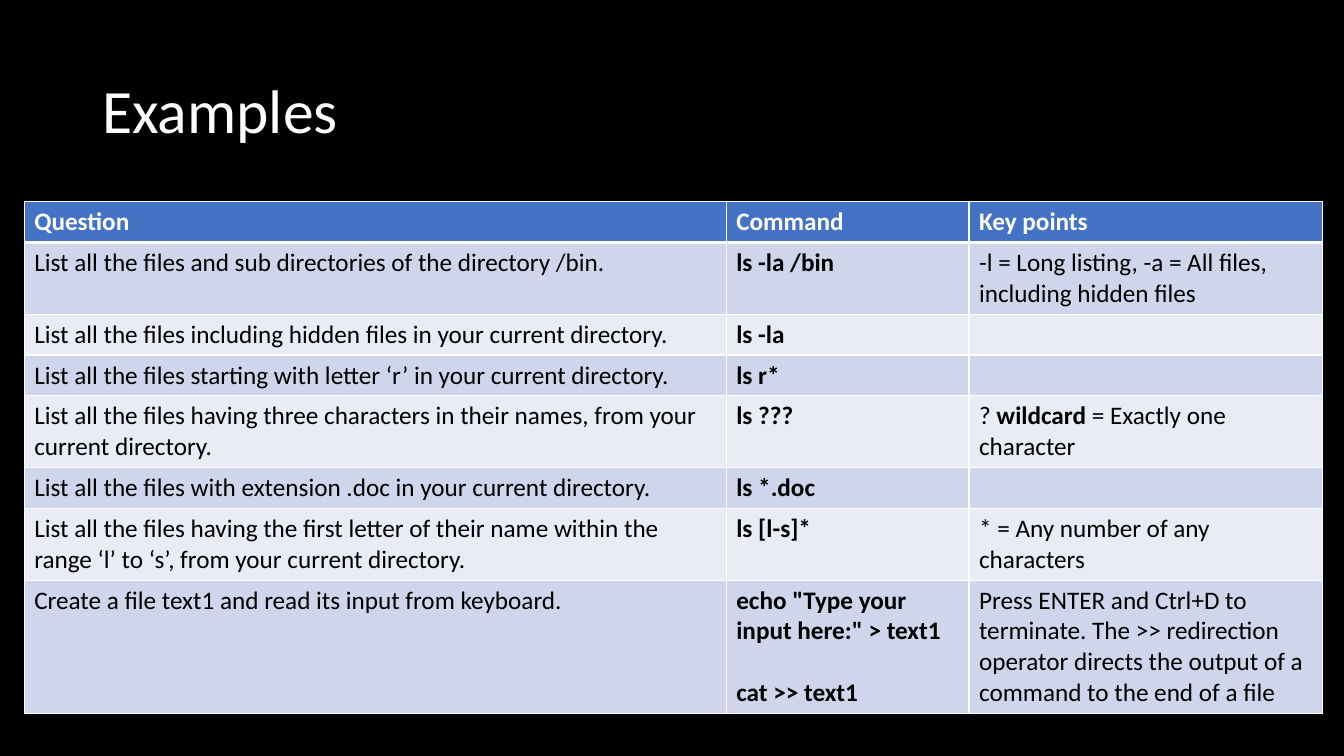
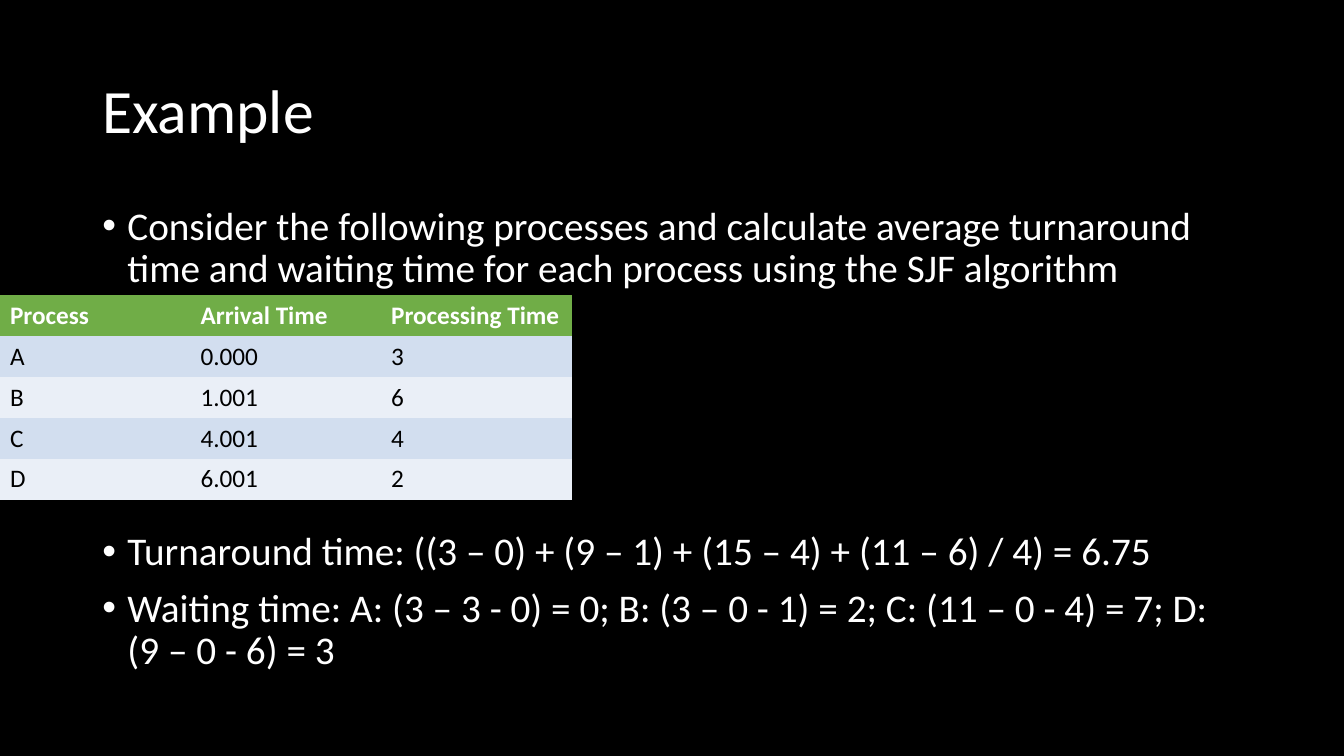
from dataclasses import dataclass, field
from typing import NamedTuple

from lxml.etree import SubElement
from pptx import Presentation
from pptx.dml.color import RGBColor
from pptx.enum.text import MSO_VERTICAL_ANCHOR as Anchor
from pptx.oxml.ns import qn
from pptx.util import Pt


# Colours and type sizes
@dataclass(frozen=True)
class Theme:
    font: str = "Calibri"
    background: str = "000000"
    light: str = "FFFFFF"
    dark: str = "000000"
    blue: str = "4472C4"
    blue_bands: tuple[str, str] = ("CFD5EA", "E9EBF5")
    green: str = "70AD47"
    green_bands: tuple[str, str] = ("D2DEEF", "EAEFF7")
    title_size: float = 44
    body_size: float = 28
    table_size: float = 18
    line_spacing: float = 0.9


THEME = Theme()
NO_STYLE = "{2D5ABB26-0587-4C30-8999-92F81FD0307C}"
TABLE_LINE = 22
CELL_PADDING = 7.2


class Area(NamedTuple):
    left: float
    top: float
    width: float
    height: float


class Span(NamedTuple):
    text: str
    bold: bool = False


class Bullet(NamedTuple):
    text: str
    space_before: float = 0


Lines = list[list[Span]]


class Row(NamedTuple):
    cells: list[Lines]
    line_count: int = 1


@dataclass
class Grid:
    left: float
    top: float
    columns: list[float]
    header_fill: str
    bands: tuple[str, str]
    header: list[str]
    rows: list[Row] = field(default_factory=list)
    bordered: bool = False


TITLE_AREA = Area(66, 28.8, 828, 104.4)
BODY_AREA = Area(66, 144, 828, 342.7)


# Text
def add_span(para, span: Span, size: float, colour: str) -> None:
    run = para.add_run()
    run.text = span.text
    run.font.name = THEME.font
    run.font.size = Pt(size)
    run.font.bold = span.bold
    run.font.color.rgb = RGBColor.from_string(colour)


def add_box(page, area: Area, anchor: Anchor):
    frame = page.shapes.add_textbox(*map(Pt, area)).text_frame
    frame.word_wrap = True
    frame.vertical_anchor = anchor
    return frame


def add_page(deck, title: str):
    page = deck.slides.add_slide(deck.slide_layouts[6])
    para = add_box(page, TITLE_AREA, Anchor.MIDDLE).paragraphs[0]
    para.line_spacing = THEME.line_spacing
    add_span(para, Span(title), THEME.title_size, THEME.light)
    return page


def add_bullets(page, bullets: list[Bullet]) -> None:
    frame = add_box(page, BODY_AREA, Anchor.TOP)
    for index, bullet in enumerate(bullets):
        para = frame.add_paragraph() if index else frame.paragraphs[0]
        para.line_spacing = THEME.line_spacing
        para.space_before = Pt(bullet.space_before)
        properties = para._p.get_or_add_pPr()
        properties.set("marL", str(Pt(18)))
        properties.set("indent", str(Pt(-18)))
        SubElement(properties, qn("a:buFont"), typeface="Arial")
        SubElement(properties, qn("a:buChar"), char="•")
        add_span(para, Span(bullet.text), THEME.body_size, THEME.light)


# Tables
def add_borders(cell, bottom: float, top: float) -> None:
    properties = cell._tc.get_or_add_tcPr()
    for side, width in (("L", 1), ("R", 1), ("T", top), ("B", bottom)):
        line = SubElement(properties, qn(f"a:ln{side}"), w=str(Pt(width)))
        fill = SubElement(line, qn("a:solidFill"))
        SubElement(fill, qn("a:srgbClr"), val=THEME.light)


def fill_cell(cell, lines: Lines, fill: str, colour: str) -> None:
    cell.fill.solid()
    cell.fill.fore_color.rgb = RGBColor.from_string(fill)
    frame = cell.text_frame
    for index, spans in enumerate(lines):
        para = frame.add_paragraph() if index else frame.paragraphs[0]
        para.space_before = Pt(TABLE_LINE if index else 0)
        para.font.size = Pt(THEME.table_size)
        for span in spans:
            add_span(para, span, THEME.table_size, colour)


def add_grid(page, grid: Grid) -> None:
    header = Row([[[Span(name, True)]] for name in grid.header])
    rows = [header, *grid.rows]
    heights = [row.line_count * TABLE_LINE + CELL_PADDING for row in rows]
    table = page.shapes.add_table(
        len(rows), len(grid.columns), Pt(grid.left), Pt(grid.top),
        Pt(sum(grid.columns)), Pt(sum(heights))).table
    table._tbl.tblPr.find(qn("a:tableStyleId")).text = NO_STYLE
    for column, width in zip(table.columns, grid.columns):
        column.width = Pt(width)
    for index, (row, height) in enumerate(zip(rows, heights)):
        table.rows[index].height = Pt(height)
        fill = grid.bands[(index - 1) % 2] if index else grid.header_fill
        colour = THEME.dark if index else THEME.light
        for position, lines in enumerate(row.cells):
            cell = table.cell(index, position)
            if grid.bordered:
                add_borders(cell, bottom=1 if index else 3, top=3 if index == 1 else 1)
            fill_cell(cell, lines, fill, colour)


def command_row(question: str, commands: list[str], key_points: list[Span],
                line_count: int = 1) -> Row:
    return Row([[[Span(question)]],
                [[Span(command, True)] for command in commands],
                [key_points]], line_count)


# Slides
def build_commands(deck) -> None:
    page = add_page(deck, "Examples")
    add_grid(page, Grid(
        17.3, 144, [501.5, 173.4, 252.5], THEME.blue, THEME.blue_bands,
        ["Question", "Command", "Key points"],
        [
            command_row("List all the files and sub directories of the directory /bin.",
                        ["ls -la /bin"],
                        [Span("-l = Long listing, -a = All files, including hidden files")], 2),
            command_row("List all the files including hidden files in your current directory.",
                        ["ls -la"], []),
            command_row("List all the files starting with letter ‘r’ in your current directory.",
                        ["ls r*"], []),
            command_row("List all the files having three characters in their names, "
                        "from your current directory.",
                        ["ls ???"],
                        [Span("? "), Span("wildcard", True), Span(" = Exactly one character")], 2),
            command_row("List all the files with extension .doc in your current directory.",
                        ["ls *.doc"], []),
            command_row("List all the files having the first letter of their name within "
                        "the range ‘l’ to ‘s’, from your current directory.",
                        ["ls [l-s]*"], [Span("* = Any number of any characters")], 2),
            command_row("Create a file text1 and read its input from keyboard.",
                        ['echo "Type your input here:" > text1', "cat >> text1"],
                        [Span("Press ENTER and Ctrl+D to terminate. The >> redirection operator "
                              "directs the output of a command to the end of a file")], 4),
        ],
        bordered=True))


def build_scheduling(deck) -> None:
    page = add_page(deck, "Example")
    add_bullets(page, [
        Bullet("Consider the following processes and calculate average turnaround time "
               "and waiting time for each process using the SJF algorithm"),
        Bullet("Turnaround time: ((3 – 0) + (9 – 1) + (15 – 4) + (11 – 6) / 4) = 6.75", 172),
        Bullet("Waiting time: A: (3 – 3 - 0) = 0; B: (3 – 0 - 1) = 2; "
               "C: (11 – 0 - 4) = 7; D: (9 – 0 - 6) = 3", 10),
    ])
    processes = [("A", "0.000", "3"), ("B", "1.001", "6"),
                 ("C", "4.001", "4"), ("D", "6.001", "2")]
    add_grid(page, Grid(
        0, 211, [136.1] * 3, THEME.green, THEME.green_bands,
        ["Process", "Arrival Time", "Processing Time"],
        [Row([[[Span(value)]] for value in process]) for process in processes]))


def main() -> None:
    deck = Presentation()
    deck.slide_width, deck.slide_height = Pt(960), Pt(540)
    backdrop = deck.slide_master.background.fill
    backdrop.solid()
    backdrop.fore_color.rgb = RGBColor.from_string(THEME.background)
    build_commands(deck)
    build_scheduling(deck)
    deck.save("out.pptx")


if __name__ == "__main__":
    main()
